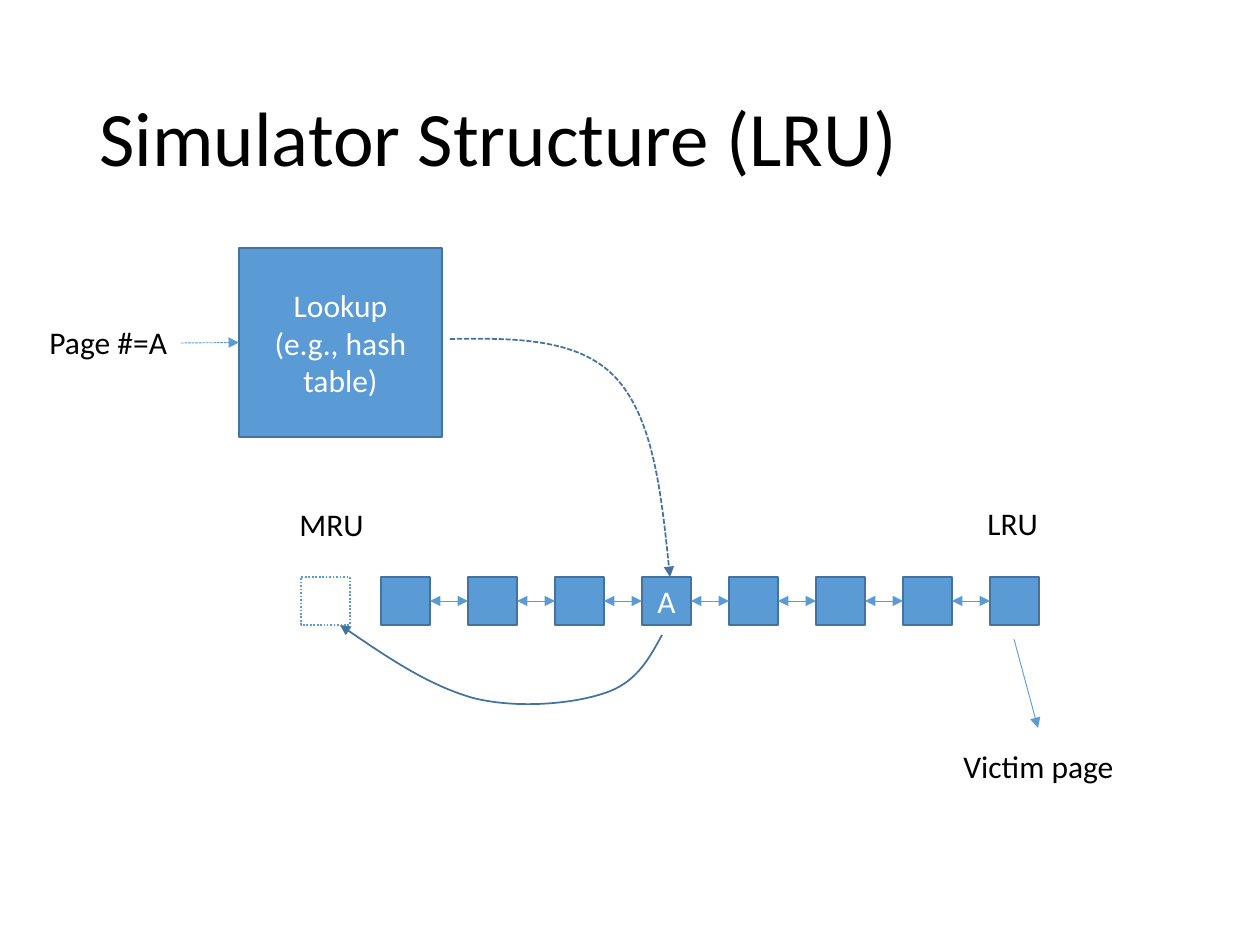
from lxml.etree import SubElement
from pptx import Presentation
from pptx.dml.color import RGBColor
from pptx.enum.dml import MSO_LINE
from pptx.enum.shapes import MSO_CONNECTOR, MSO_SHAPE
from pptx.enum.text import MSO_ANCHOR, PP_ALIGN
from pptx.oxml.ns import qn
from pptx.util import Pt

RECT, STRAIGHT = MSO_SHAPE.RECTANGLE, MSO_CONNECTOR.STRAIGHT
DASH, DOT = MSO_LINE.SQUARE_DOT, MSO_LINE.ROUND_DOT
SYS_DASH = DASH
MIDDLE, TOP = MSO_ANCHOR.MIDDLE, MSO_ANCHOR.TOP
LEFT, CENTER = PP_ALIGN.LEFT, PP_ALIGN.CENTER
TOP_SIDE, LEFT_SIDE, BOTTOM_SIDE, RIGHT_SIDE = range(4)
PX = 914400 / 126
FONT = "Calibri"
COLORS = {"blue": "5B9BD5", "edge": "43739E", "white": "FFFFFF", "black": "000000"}
PAGE_X, PAGE_Y, PAGE_W, PAGE_H, PAGE_STEP = 381, 577, 49, 48, 87
PAGES = ["", "", "", "A", "", "", "", ""]


def px(*lengths):
    return [round(n * PX) for n in lengths]


def color(name):
    return RGBColor.from_string(COLORS[name])


def style_line(s, name, width, dash=None, ends=()):
    s.line.color.rgb = color(name)
    for key, value in {"width": Pt(width), "dash_style": dash}.items():
        setattr(s.line, key, value)
    ln = s.line._get_or_add_ln()
    for end in ends:
        SubElement(ln, qn(f"a:{end}"), type="triangle")


def write(s, lines, size, name, align=LEFT, anchor=TOP, wrap=True, spacing=None):
    tf = s.text_frame
    for key, value in {"word_wrap": wrap, "vertical_anchor": anchor}.items():
        setattr(tf, key, value)
    for i, line in enumerate(lines):
        p = tf.add_paragraph() if i else tf.paragraphs[0]
        p.alignment = align
        p.line_spacing = spacing
        r = p.add_run()
        r.text = line
        for key, value in {"size": Pt(size), "name": FONT}.items():
            setattr(r.font, key, value)
        r.font.color.rgb = color(name)


def add_label(shapes, text, box, size=18, **format_values):
    s = shapes.add_textbox(*px(*box))
    write(s, [text], size, "black", **format_values)


def add_box(shapes, box, lines=(), fill="blue", edge="edge", dash=None):
    s = shapes.add_shape(RECT, *px(*box))
    s.shadow.inherit = False
    s.fill.solid()
    s.fill.fore_color.rgb = color(fill)
    style_line(s, edge, 1, dash)
    if lines:
        write(s, lines, 18, "white", CENTER, MIDDLE)
    return s


def add_arrow(shapes, start, end, dash=None, ends=("tailEnd",)):
    s = shapes.add_connector(STRAIGHT, *px(*start, *end))
    style_line(s, "blue", 0.5, dash, ends)
    SubElement(s._element.spPr, qn("a:effectLst"))
    return s


def add_curve(shapes, points, dash=None):
    builder = shapes.build_freeform(*points[0], scale=PX)
    builder.add_line_segments(points[1:], close=False)
    s = builder.convert_to_shape()
    s.shadow.inherit = False
    s.fill.background()
    style_line(s, "edge", 1, dash, ["tailEnd"])
    outline = s._element.find(".//" + qn("a:path"))
    segments = outline.findall(qn("a:lnTo"))
    for i in range(0, len(segments), 3):
        cubic = SubElement(outline, qn("a:cubicBezTo"))
        for segment in segments[i:i + 3]:
            cubic.append(segment[0])
            outline.remove(segment)


def add_page_list(shapes):
    pages = [add_box(shapes, (PAGE_X + i * PAGE_STEP, PAGE_Y, PAGE_W, PAGE_H), [text] if text else ())
             for i, text in enumerate(PAGES)]
    for left, right in zip(pages, pages[1:]):
        link = add_arrow(shapes, (0, 0), (0, 0), ends=("headEnd", "tailEnd"))
        link.begin_connect(left, RIGHT_SIDE)
        link.end_connect(right, LEFT_SIDE)


def main():
    prs = Presentation()
    prs.slide_width, prs.slide_height = px(1260, 945)
    shapes = prs.slides.add_slide(prs.slide_layouts[6]).shapes

    add_label(shapes, "Simulator Structure (LRU)", (87, 50, 1086, 183), 44, anchor=MIDDLE, spacing=0.9)
    add_page_list(shapes)
    lookup = add_box(shapes, (239, 248, 203, 189), ["Lookup", "(e.g., hash table)"])
    add_curve(shapes, [(450, 339), (514, 338), (578, 338), (615, 377),
                       (653, 417), (662, 498), (670, 577)], SYS_DASH)
    add_curve(shapes, [(662, 635), (649, 659), (636, 683), (605, 693), (573, 704),
                       (517, 709), (473, 698), (428, 685), (384, 655), (340, 625)])
    add_box(shapes, (301, PAGE_Y, PAGE_W, PAGE_H), fill="white", edge="blue", dash=DOT)
    add_arrow(shapes, (1014, 639), (1038, 728))
    request = add_arrow(shapes, (181, 343), (239, 343), SYS_DASH)
    request.end_connect(lookup, LEFT_SIDE)

    for text, box in [("Victim page", (951, 741, 178, 50)), ("LRU", (975, 498, 77, 50)),
                      ("MRU", (287, 499, 91, 50)), ("Page #=A", (37, 317, 145, 50))]:
        add_label(shapes, text, box, wrap=False)

    prs.save("out.pptx")


if __name__ == "__main__":
    main()
